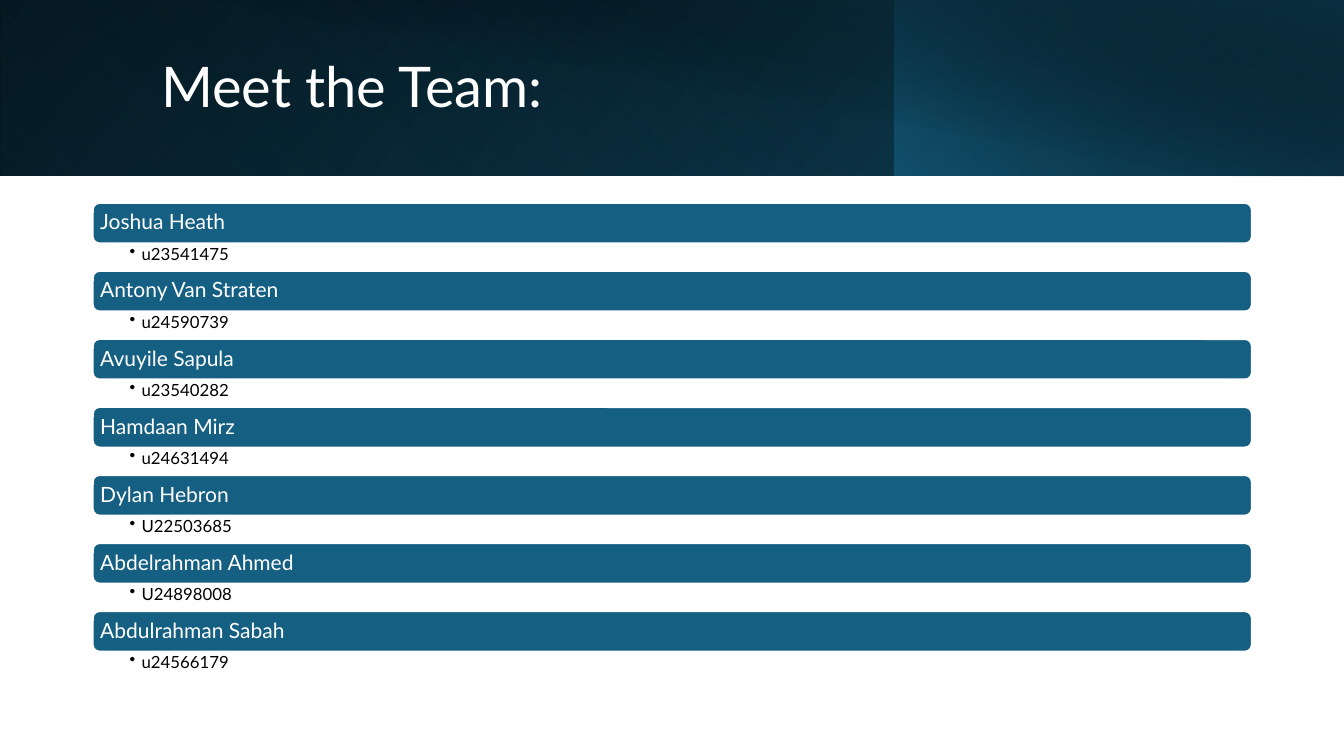
from pptx import Presentation
from pptx.dml.color import RGBColor
from pptx.enum.shapes import MSO_SHAPE as Shape
from pptx.enum.text import MSO_ANCHOR as Anchor, PP_ALIGN as Align
from pptx.oxml import parse_xml
from pptx.oxml.ns import nsdecls, qn
from pptx.util import Pt

WHITE = RGBColor(0xFF, 0xFF, 0xFF)
BLACK = RGBColor(0x00, 0x00, 0x00)
TEAL = RGBColor(0x15, 0x60, 0x82)
DEEP_TEAL = RGBColor(0x10, 0x48, 0x62)
NAVY = RGBColor(0x0B, 0x30, 0x41)

FONT = "Lato"
TEAM = [
    ("Joshua Heath", "u23541475"),
    ("Antony Van Straten", "u24590739"),
    ("Avuyile Sapula", "u23540282"),
    ("Hamdaan Mirz", "u24631494"),
    ("Dylan Hebron", "U22503685"),
    ("Abdelrahman Ahmed", "U24898008"),
    ("Abdulrahman Sabah", "u24566179"),
]
LIST_LEFT, LIST_TOP, LIST_WIDTH = 66.24, 144.9, 828
BAR_HEIGHT, NUMBER_HEIGHT, ROW_PITCH = 29, 19.4, 48.6


def write(shape, text, size, color, insets, anchor=Anchor.MIDDLE, bullet=False):
    """Fill a shape with one formatted paragraph."""
    frame = shape.text_frame
    frame.word_wrap = True
    frame.vertical_anchor = anchor
    (frame.margin_left, frame.margin_top,
     frame.margin_right, frame.margin_bottom) = map(Pt, insets)
    paragraph = frame.paragraphs[0]
    paragraph.alignment = Align.LEFT
    paragraph.line_spacing = 0.9
    if bullet:
        paragraph.level = 1
        properties = paragraph._p.get_or_add_pPr()
        properties.set("marL", str(Pt(8.64)))
        properties.set("indent", str(Pt(-8.64)))
        properties.append(parse_xml(f'<a:buChar {nsdecls("a")} char="•"/>'))
    run = paragraph.add_run()
    run.text = text
    run.font.name = FONT
    run.font.size = Pt(size)
    run.font.color.rgb = color


def add_box(slide, kind, left, top, width, height):
    """Add a preset shape without shadow."""
    box = slide.shapes.add_shape(kind, Pt(left), Pt(top), Pt(width), Pt(height))
    box.shadow.inherit = False
    return box


def add_gradient_panel(slide, left, width, height, stops, angle, flip=True, rotation=0):
    """Add a header panel with stops of position, colour and opacity."""
    panel = add_box(slide, Shape.RECTANGLE, left, 0, width, height)
    panel.rotation = rotation
    panel.line.fill.background()
    panel.fill.background()
    properties = panel.element.spPr
    if flip:
        properties.find(qn("a:xfrm")).set("flipH", "1")
    stop_xml = "".join(
        f'<a:gs pos="{position * 1000}"><a:srgbClr val="{color}">'
        f'<a:alpha val="{opacity * 1000}"/></a:srgbClr></a:gs>'
        for position, color, opacity in stops)
    gradient = parse_xml(
        f'<a:gradFill {nsdecls("a")} rotWithShape="1"><a:gsLst>{stop_xml}</a:gsLst>'
        f'<a:lin ang="{angle * 60000}" scaled="0"/></a:gradFill>')
    properties.replace(properties.find(qn("a:noFill")), gradient)


def add_header(slide):
    """Add the layered gradient band and the title."""
    add_gradient_panel(slide, 0, 960, 125.3,
                       [(0, BLACK, 100), (100, DEEP_TEAL, 100)], 140)
    add_gradient_panel(slide, 0, 639, 125.3,
                       [(20, TEAL, 0), (100, NAVY, 55)], 230, rotation=180)
    add_gradient_panel(slide, 638.7, 321.3, 125.3,
                       [(0, TEAL, 66), (100, BLACK, 30)], 220)
    add_gradient_panel(slide, 36, 924, 126,
                       [(50, BLACK, 0), (99, NAVY, 52)], 280, flip=False)
    title = slide.shapes.add_textbox(Pt(108), Pt(23), Pt(779), Pt(81.4))
    write(title, "Meet the Team:", 40, WHITE, (7.2, 3.6, 7.2, 3.6))


def add_member(slide, top, name, number):
    """Add a name bar with the student number below it."""
    bar = add_box(slide, Shape.ROUNDED_RECTANGLE, LIST_LEFT, top, LIST_WIDTH, BAR_HEIGHT)
    bar.fill.solid()
    bar.fill.fore_color.rgb = TEAL
    bar.line.color.rgb = WHITE
    bar.line.width = Pt(1.5)
    write(bar, name, 15, WHITE, (4, 4, 4, 4))
    student_number = slide.shapes.add_textbox(
        Pt(LIST_LEFT), Pt(top + BAR_HEIGHT), Pt(LIST_WIDTH), Pt(NUMBER_HEIGHT))
    write(student_number, number, 12, BLACK, (26.3, 1.5, 8.5, 1.5),
          anchor=Anchor.TOP, bullet=True)


def main():
    """Build and save the team slide."""
    deck = Presentation()
    deck.slide_width, deck.slide_height = Pt(960), Pt(540)
    slide = deck.slides.add_slide(deck.slide_layouts[6])
    add_header(slide)
    for row, (name, number) in enumerate(TEAM):
        add_member(slide, LIST_TOP + row * ROW_PITCH, name, number)
    deck.save("out.pptx")


if __name__ == "__main__":
    main()
